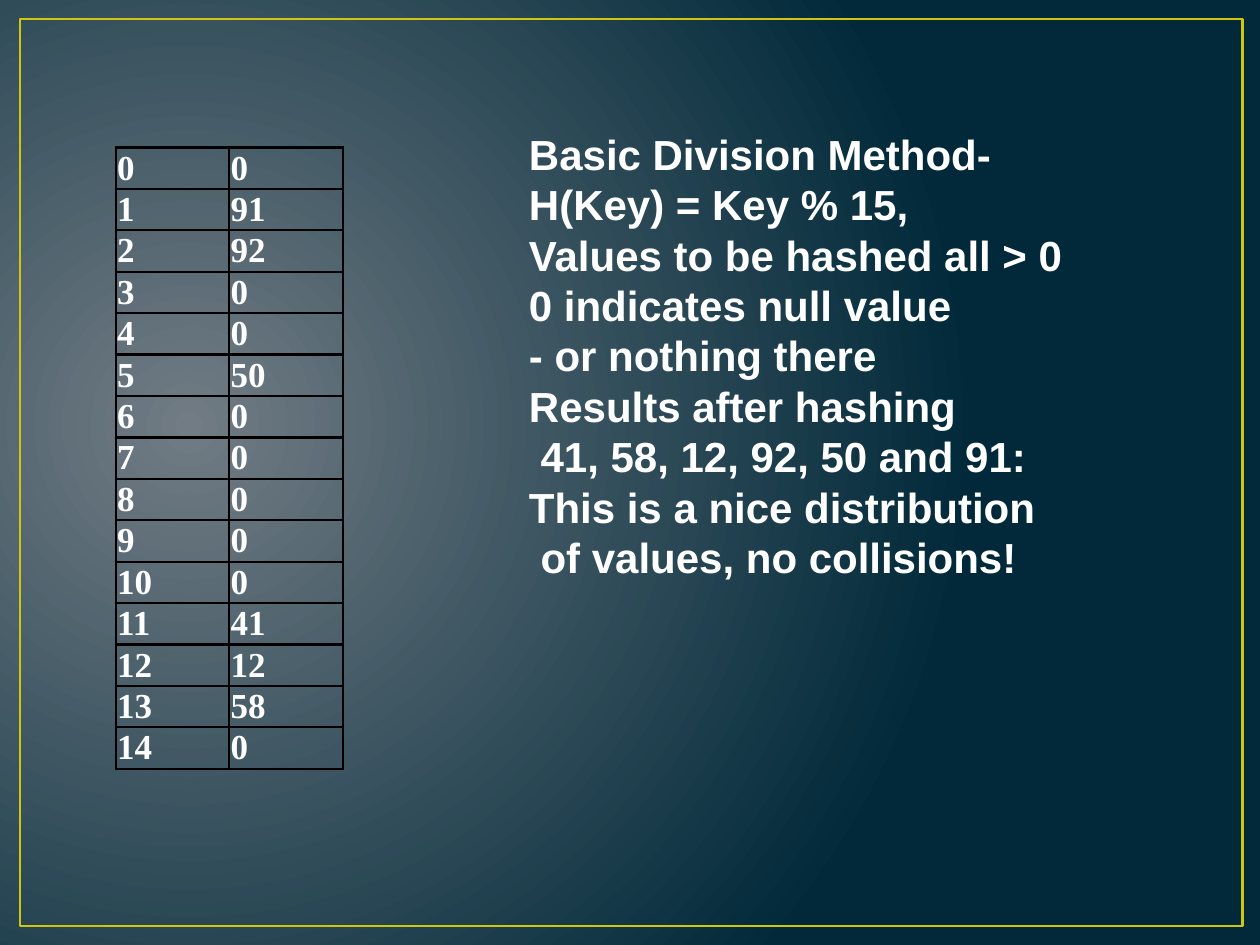
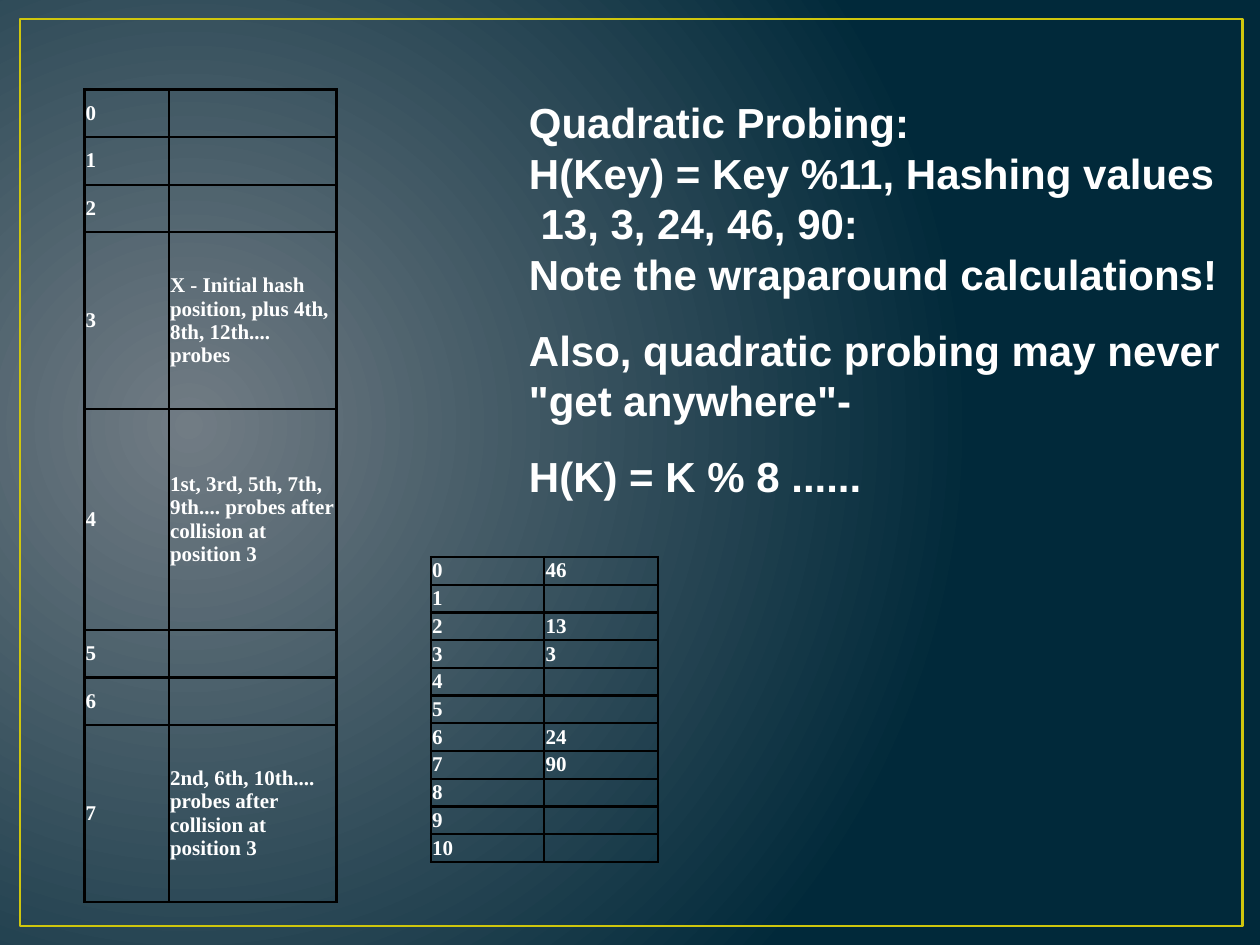
import dataclasses
import typing

import lxml.etree
import pptx
import pptx.dml.color
import pptx.enum.shapes
import pptx.enum.text
import pptx.oxml.ns
import pptx.presentation
import pptx.slide
import pptx.util

SLIDE_WIDTH = pptx.util.Inches(10)
SLIDE_HEIGHT = pptx.util.Inches(7.5)
GRID_COLUMNS = 100
GRID_ROWS = 75


@dataclasses.dataclass(frozen=True)
class Theme:
    glow: str = "717C84"
    night: str = "01293A"
    frame: str = "CFC60D"
    border: str = "000000"
    text: str = "FFFFFF"
    note_font: str = "Arial"
    table_font: str = "Times New Roman"
    note_size: float = 24
    note_leading: float = 28.8
    note_gap: float = 14.6
    large_cell: float = 20
    small_cell: float = 12
    line_width: float = 1.5
    cell_margin: float = 0.01


THEME = Theme()


@dataclasses.dataclass(frozen=True)
class Area:
    column: float
    row: float
    columns: float
    rows: float

    def place(self) -> tuple[int, int, int, int]:
        return across(self.column), down(self.row), across(self.columns), down(self.rows)


@dataclasses.dataclass(frozen=True)
class HashTable:
    column: float
    row: float
    widths: tuple[float, float]
    heights: list[float]
    entries: list[str]
    size: float


@dataclasses.dataclass(frozen=True)
class Note:
    area: Area
    groups: list[list[str]]


@dataclasses.dataclass(frozen=True)
class HashingSlide:
    tables: list[HashTable]
    note: Note


FRAME = Area(1.6, 1.5, 97, 72)

DIVISION = HashingSlide(
    tables=[
        HashTable(
            9.2, 11.7, (9, 9), [3.29] * 15,
            ["0", "91", "92", "0", "0", "50", "0", "0", "0", "0", "0", "41", "12", "58", "0"],
            THEME.large_cell,
        )
    ],
    note=Note(
        Area(41, 9.7, 44.7, 37.4),
        [[
            "Basic Division Method-",
            "H(Key) = Key % 15,",
            "Values to be hashed all > 0",
            "0 indicates null value",
            "- or nothing there",
            "Results after hashing",
            " 41, 58, 12, 92, 50 and 91:",
            "This is a nice distribution",
            " of values, no collisions!",
        ]],
    ),
)

QUADRATIC = HashingSlide(
    tables=[
        HashTable(
            34.2, 44.2, (9, 9), [2.06] * 11,
            ["46", "", "13", "3", "", "", "24", "90", "", "", ""],
            THEME.small_cell,
        ),
        HashTable(
            6.7, 7.1, (6.7, 13.3), [3.78, 3.78, 3.78, 14.05, 17.5, 3.78, 3.78, 14.05],
            [
                "", "", "",
                "X - Initial hash position, plus 4th, 8th, 12th.... probes",
                "1st, 3rd, 5th, 7th, 9th.... probes after collision at position 3",
                "", "",
                "2nd, 6th, 10th.... probes after collision at position 3",
            ],
            THEME.small_cell,
        ),
    ],
    note=Note(
        Area(41, 7.2, 58.3, 37.7),
        [
            [
                "Quadratic Probing:",
                "H(Key) = Key %11, Hashing values",
                " 13, 3, 24, 46, 90:",
                "Note the wraparound calculations!",
            ],
            ["Also, quadratic probing may never", '"get anywhere"-'],
            ["H(K) = K % 8 ......"],
        ],
    ),
)


def across(columns: float) -> int:
    return round(SLIDE_WIDTH * columns / GRID_COLUMNS)


def down(rows: float) -> int:
    return round(SLIDE_HEIGHT * rows / GRID_ROWS)


def colour(code: str) -> pptx.dml.color.RGBColor:
    return pptx.dml.color.RGBColor.from_string(code)


def add_child(parent: typing.Any, tag: str, **attributes: str) -> typing.Any:
    return lxml.etree.SubElement(parent, pptx.oxml.ns.qn(tag), attributes)


def add_span(para: typing.Any, text: str, font: str, size: float) -> None:
    span = para.add_run()
    span.text = text
    span.font.name = font
    span.font.size = pptx.util.Pt(size)
    span.font.bold = True
    span.font.color.rgb = colour(THEME.text)


def paint_background(master: pptx.slide.SlideMaster) -> None:
    fill = master.background.fill
    fill.gradient()
    for stop, code in zip(fill.gradient_stops, (THEME.glow, THEME.night)):
        stop.color.rgb = colour(code)
    gradient = master.element.find(".//" + pptx.oxml.ns.qn("a:gradFill"))
    gradient.remove(gradient.find(pptx.oxml.ns.qn("a:lin")))
    circle = add_child(gradient, "a:path", path="circle")
    add_child(circle, "a:fillToRect", l="15000", t="50000", r="85000", b="60000")


def draw_frame(page: pptx.slide.Slide) -> None:
    box = page.shapes.add_shape(pptx.enum.shapes.MSO_SHAPE.RECTANGLE, *FRAME.place())
    box.shadow.inherit = False
    box.fill.background()
    box.line.color.rgb = colour(THEME.frame)
    box.line.width = pptx.util.Pt(THEME.line_width)


def style_cell(cell: typing.Any) -> None:
    margin = pptx.util.Inches(THEME.cell_margin)
    cell.margin_left = cell.margin_right = margin
    cell.margin_top = cell.margin_bottom = margin
    cell.vertical_anchor = pptx.enum.text.MSO_ANCHOR.MIDDLE
    properties = cell._tc.get_or_add_tcPr()
    for side in ("a:lnL", "a:lnR", "a:lnT", "a:lnB"):
        line = add_child(properties, side, w=str(pptx.util.Pt(THEME.line_width)))
        add_child(add_child(line, "a:solidFill"), "a:srgbClr", val=THEME.border)
    cell.fill.background()


def draw_table(page: pptx.slide.Slide, spec: HashTable) -> None:
    area = Area(spec.column, spec.row, sum(spec.widths), sum(spec.heights))
    table = page.shapes.add_table(len(spec.entries), 2, *area.place()).table
    table.first_row = False
    table.horz_banding = False
    for column, width in zip(table.columns, spec.widths):
        column.width = across(width)
    for index, (height, entry) in enumerate(zip(spec.heights, spec.entries)):
        table.rows[index].height = down(height)
        for position, text in enumerate((str(index), entry)):
            cell = table.cell(index, position)
            style_cell(cell)
            para = cell.text_frame.paragraphs[0]
            if text:
                add_span(para, text, THEME.table_font, spec.size)
            else:
                add_child(para._p, "a:endParaRPr", sz=str(round(spec.size * 100)))


def draw_note(page: pptx.slide.Slide, note: Note) -> None:
    frame = page.shapes.add_textbox(*note.area.place()).text_frame
    frame.word_wrap = True
    para = None
    for group in note.groups:
        for position, text in enumerate(group):
            first = para is None
            para = frame.paragraphs[0] if first else frame.add_paragraph()
            para.line_spacing = pptx.util.Pt(THEME.note_leading)
            if position == 0 and not first:
                para.space_before = pptx.util.Pt(THEME.note_gap)
            add_span(para, text, THEME.note_font, THEME.note_size)


def draw_slide(deck: pptx.presentation.Presentation, content: HashingSlide) -> None:
    page = deck.slides.add_slide(deck.slide_layouts[6])
    draw_frame(page)
    for table in content.tables:
        draw_table(page, table)
    draw_note(page, content.note)


def main() -> None:
    deck = pptx.Presentation()
    deck.slide_width = SLIDE_WIDTH
    deck.slide_height = SLIDE_HEIGHT
    paint_background(deck.slide_master)
    for content in (DIVISION, QUADRATIC):
        draw_slide(deck, content)
    deck.save("out.pptx")


if __name__ == "__main__":
    main()
